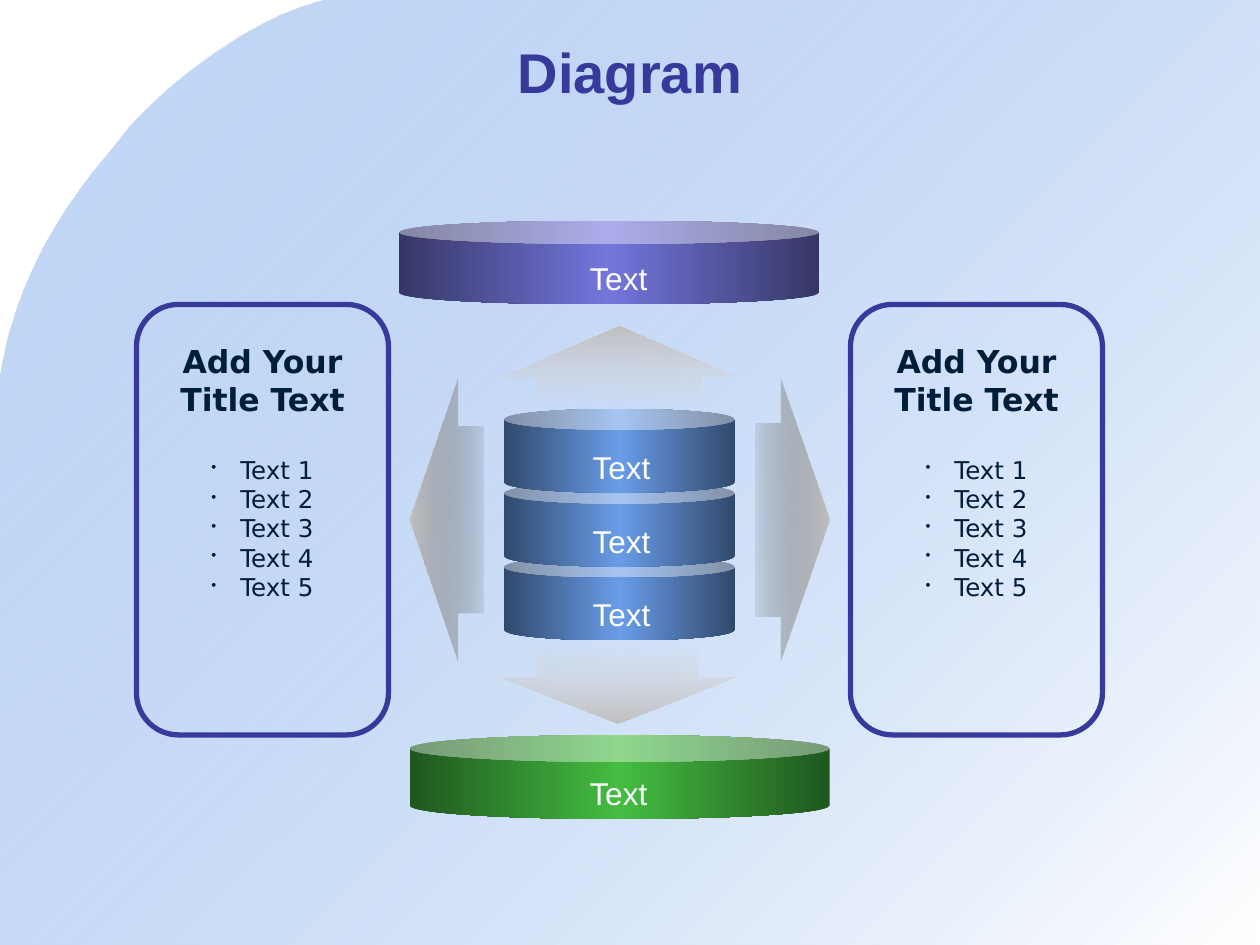
from dataclasses import dataclass
from lxml import etree
from pptx import Presentation
from pptx import util as u
from pptx.dml.color import RGBColor
from pptx.enum import shapes, text
from pptx.oxml.ns import qn

Kind = shapes.MSO_SHAPE
Mid = text.PP_ALIGN.CENTER
COLS, ROWS = 120, 90
W, H = u.Inches(10), u.Inches(7.5)
NAVY, INK, WHITE = "37399B", "001D3A", "FFFFFF"


@dataclass
class Stop:
    at: int
    tone: str
    alpha: int = 100


@dataclass
class Can:
    col: float
    row: float
    wide: float
    dark: str
    light: str
    lid: float
    mid: float


@dataclass
class Arrow:
    kind: Kind
    box: tuple
    adj: tuple
    stops: list
    turn: int


def grid(col: float, row: float, wide: float, high: float) -> tuple:
    return (round(col * W / COLS), round(row * H / ROWS),
            round(wide * W / COLS), round(high * H / ROWS))


def tint(code: str) -> RGBColor:
    return RGBColor.from_string(code)


def blend(shape, stops: list, turn: int) -> None:
    shape.shadow.inherit = False
    shape.line.fill.background()
    shape.fill.gradient()
    shape.fill.gradient_angle = -turn % 360
    ramp = shape.fill._xPr.find(qn("a:gradFill")).find(qn("a:gsLst"))
    for old in list(ramp):
        ramp.remove(old)
    for stop in stops:
        node = etree.SubElement(ramp, qn("a:gs"), pos=str(stop.at * 1000))
        tone = etree.SubElement(node, qn("a:srgbClr"), val=stop.tone)
        if stop.alpha < 100:
            etree.SubElement(tone, qn("a:alpha"), val=str(stop.alpha * 1000))


def solid(slide, kind: Kind, box: tuple, adj: tuple, stops: list, turn: int) -> None:
    shape = slide.shapes.add_shape(kind, *grid(*box))
    for i, val in enumerate(adj):
        shape.adjustments[i] = val
    blend(shape, stops, turn)


def style(para, face: str, size: int, code: str, bold: bool = False) -> None:
    para.alignment = Mid
    font = para.font
    font.name, font.size, font.bold = face, u.Pt(size), bold
    font.color.rgb = tint(code)


def label(slide, box: tuple, words: str, size: int, code: str, bold: bool = False) -> None:
    frame = slide.shapes.add_textbox(*grid(*box)).text_frame
    frame.word_wrap = False
    frame.vertical_anchor = text.MSO_ANCHOR.MIDDLE
    frame.text = words
    style(frame.paragraphs[0], "Arial", size, code, bold)


def bullet(para) -> None:
    props = para._p.get_or_add_pPr()
    props.set("marL", str(u.Inches(0.23)))
    props.set("indent", str(-u.Inches(0.23)))
    tone = etree.SubElement(props, qn("a:buClr"))
    etree.SubElement(tone, qn("a:srgbClr"), val=INK)
    etree.SubElement(props, qn("a:buSzPct"), val="60000")
    etree.SubElement(props, qn("a:buChar"), char="•")


def panel(slide, col: float) -> None:
    edge = slide.shapes.add_shape(Kind.ROUNDED_RECTANGLE, *grid(col, 29, 24, 41))
    edge.shadow.inherit = False
    edge.fill.background()
    edge.line.color.rgb = tint(NAVY)
    edge.line.width = u.Pt(3)
    frame = slide.shapes.add_textbox(*grid(col + 1, 32, 22, 26)).text_frame
    frame.word_wrap = True
    heads = ["Add Your", "Title Text"]
    items = [f"Text {n}" for n in range(1, 6)]
    frame.text = "\n".join(heads + items)
    for para in frame.paragraphs[:2]:
        style(para, "DejaVu Sans", 18, INK, True)
    for para in frame.paragraphs[2:]:
        if para.text == items[0]:
            para.space_before = u.Pt(21)
        bullet(para)
        style(para, "DejaVu Sans", 14, INK)


def curve(a: tuple, b: tuple, c: tuple, d: tuple, steps: int = 24) -> list:
    dots = []
    for i in range(1, steps + 1):
        t = i / steps
        mix = ((1 - t) ** 3, 3 * t * (1 - t) ** 2, 3 * t * t * (1 - t), t ** 3)
        dots.append(tuple(u.Inches(sum(m * p[k] for m, p in zip(mix, (a, b, c, d))))
                          for k in (0, 1)))
    return dots


def sweep(slide) -> None:
    top, bend, foot = (2.58, 0), (0.98, 1.07), (0, 3.01)
    dots = curve(top, (1.9, 0.16), (1.16, 0.83), bend)
    dots += curve(bend, (0.8, 1.32), (0.16, 1.94), foot)
    dots += [(0, H), (W, H), (W, 0)]
    pen = slide.shapes.build_freeform(u.Inches(top[0]), 0)
    pen.add_line_segments(dots, close=True)
    blend(pen.convert_to_shape(), [Stop(0, "699DE9", 39), Stop(100, WHITE)], 45)


def main() -> None:
    deck = Presentation()
    deck.slide_width, deck.slide_height = W, H
    slide = deck.slides.add_slide(deck.slide_layouts[6])
    sweep(slide)
    label(slide, (6, 3, 108, 7.5), "Diagram", 32, NAVY, True)

    cans = [Can(48, 53 - 7 * n, 22, "31496C", "699DE9", 0.25, 59.2) for n in range(3)]
    cans += [Can(38, 21, 40, "363766", "7476DC", 0.28, 58.9),
             Can(39, 70, 40, "1F571E", "44BD41", 0.32, 58.9)]
    shifts = iter(range(3))
    for can in cans:
        row = can.row if can.wide > 22 else 53 - 7.03 * next(shifts)
        stops = [Stop(0, can.dark), Stop(50, can.light), Stop(100, can.dark)]
        solid(slide, Kind.CAN, (can.col, row, can.wide, 8), (can.lid,), stops, 0)
    for can in cans:
        label(slide, (can.mid - 4.1, can.row + 3.1, 8.2, 4.8), "Text", 18, WHITE)

    gray, haze, pale = Stop(0, "C0C0C0"), Stop(100, "595959", 12), Stop(100, "D7D7D7", 12)
    tip = Stop(100, "C0C0C0")
    arrows = [
        Arrow(Kind.LEFT_ARROW, (39, 36, 7, 27), (0.66, 0.65), [gray, haze], 0),
        Arrow(Kind.RIGHT_ARROW, (72, 36, 7, 27), (0.68, 0.66),
              [Stop(0, "595959", 12), tip], 0),
        Arrow(Kind.UP_ARROW, (47.5, 31, 23, 7), (0.68, 0.71), [gray, pale], 90),
        Arrow(Kind.DOWN_ARROW, (47.3, 62, 23, 6.9), (0.67, 0.64),
              [Stop(0, "D7D7D7", 12), tip], 90),
    ]
    for arrow in arrows:
        solid(slide, arrow.kind, arrow.box, arrow.adj, arrow.stops, arrow.turn)
    for col in (13, 81):
        panel(slide, col)
    deck.save("out.pptx")


if __name__ == "__main__":
    main()
